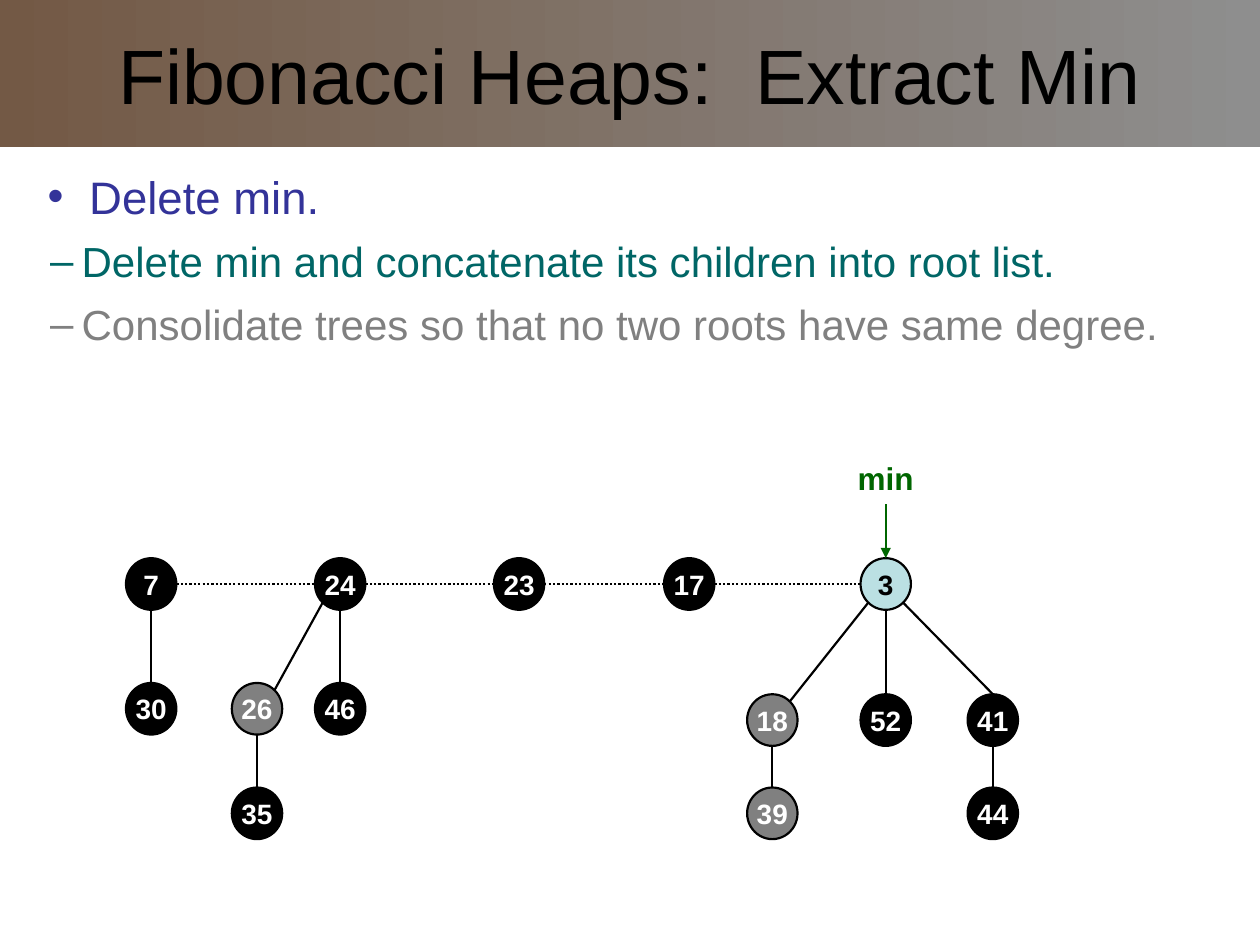
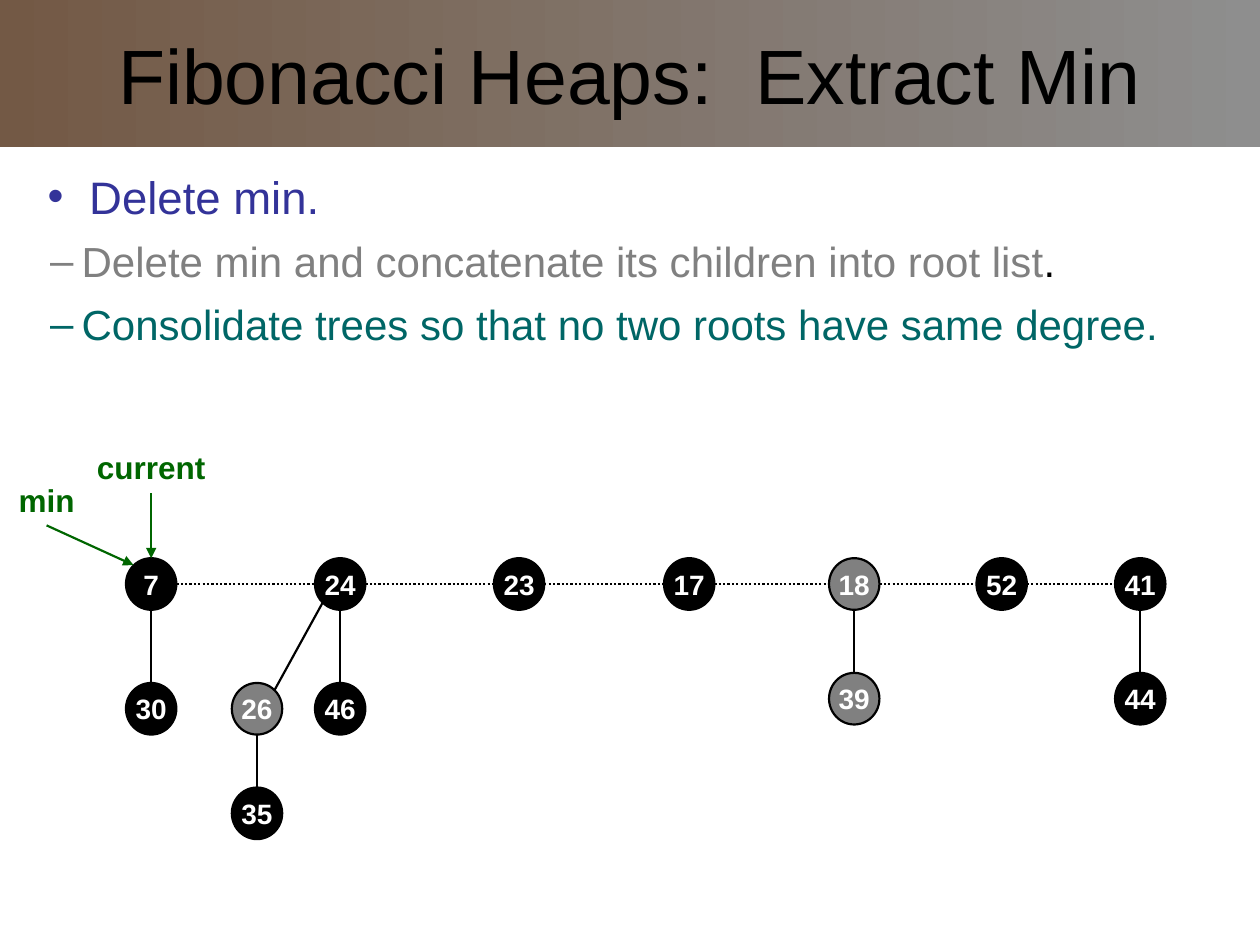
from dataclasses import dataclass
from itertools import pairwise
from typing import Optional

from lxml.etree import SubElement
from pptx import Presentation
from pptx.dml.color import RGBColor
from pptx.enum.dml import MSO_LINE_DASH_STYLE as Dash
from pptx.enum.shapes import MSO_CONNECTOR as Connector, MSO_SHAPE as Preset
from pptx.enum.text import MSO_ANCHOR as Anchor, PP_ALIGN as Align
from pptx.oxml.ns import qn
from pptx.util import Inches, Pt

FONT = "Arial"
BLACK, WHITE, GRAY = "000000", "FFFFFF", "808080"
BLUE, TEAL, GREEN, PALE = "333399", "006666", "006600", "BBE0E3"
BAND_RIGHT, BAND_LEFT = "8E8E8E", "735945"
WIDTH, HEIGHT = 0.4, 0.41
CORNER_X, CORNER_Y = 0.14, 0.15
LINE_WIDTH = 1.25
ROOT_TOP, CHILD_TOP, LEAF_TOP = 4.43, 5.42, 6.25

Point = tuple[float, float]
Run = tuple[str, str]


@dataclass(frozen=True)
class Node:
    key: str
    left: float
    top: float = ROOT_TOP
    fill: str = BLACK
    parent: Optional[str] = None
    color: str = WHITE

    @property
    def center(self) -> Point:
        return self.left + WIDTH / 2, self.top + HEIGHT / 2

    def site(self, horizontal: int, vertical: int) -> Point:
        x, y = self.center
        if horizontal and vertical:
            return x + horizontal * CORNER_X, y + vertical * CORNER_Y
        return x + horizontal * WIDTH / 2, y + vertical * HEIGHT / 2


@dataclass(frozen=True)
class Pointer:
    label: str
    left: float
    top: float
    target: str
    side: int = 0


@dataclass(frozen=True)
class Bullet:
    runs: tuple[Run, ...]
    mark: str = "–"
    size: int = 24
    margin: float = 0.38
    indent: float = -0.25
    before: float = 7


@dataclass(frozen=True)
class HeapSlide:
    bullets: tuple[Bullet, ...]
    nodes: tuple[Node, ...]
    pointers: tuple[Pointer, ...]


TITLE = "Fibonacci Heaps:  Extract Min"
HEADING = Bullet((("Delete min.", BLUE),), "•", 26, 0.44, -0.33, 0)
DELETE = "Delete min and concatenate its children into root list"
CONSOLIDATE = "Consolidate trees so that no two roots have same degree."

SHARED_NODES = (
    Node("7", 1),
    Node("24", 2.5),
    Node("23", 3.92),
    Node("17", 5.27),
    Node("30", 1, CHILD_TOP, parent="7"),
    Node("26", 1.84, CHILD_TOP, GRAY, "24"),
    Node("46", 2.5, CHILD_TOP, parent="24"),
    Node("35", 1.84, LEAF_TOP, parent="26"),
)

SLIDES = (
    HeapSlide(
        (HEADING, Bullet(((DELETE + ".", TEAL),)), Bullet(((CONSOLIDATE, GRAY),))),
        SHARED_NODES + (
            Node("3", 6.83, fill=PALE, color=BLACK),
            Node("18", 5.93, 5.51, GRAY, "3"),
            Node("52", 6.83, 5.51, parent="3"),
            Node("41", 7.68, 5.51, parent="3"),
            Node("39", 5.93, LEAF_TOP, GRAY, "18"),
            Node("44", 7.68, LEAF_TOP, parent="41"),
        ),
        (Pointer("min", 6.83, 3.59, "3"),),
    ),
    HeapSlide(
        (HEADING, Bullet(((DELETE, GRAY), (".", BLACK))), Bullet(((CONSOLIDATE, TEAL),))),
        SHARED_NODES + (
            Node("18", 6.58, fill=GRAY),
            Node("52", 7.75),
            Node("41", 8.85),
            Node("39", 6.58, 5.34, GRAY, "18"),
            Node("44", 8.85, 5.34, parent="41"),
        ),
        (Pointer("current", 1, 3.5, "7"), Pointer("min", 0.17, 3.76, "7", -1)),
    ),
)


def rgb(value: str) -> RGBColor:
    return RGBColor.from_string(value)


def write(paragraph, text: str, *, size: float, color: str, bold: bool = False) -> None:
    run = paragraph.add_run()
    run.text = text
    run.font.name = FONT
    run.font.size = Pt(size)
    run.font.bold = bold
    run.font.color.rgb = rgb(color)


def add_label(slide, preset, box: tuple, text: str, *, size: float, color: str,
              fill: Optional[str] = None, outline: Optional[str] = None,
              bold: bool = False, wrap: bool = False):
    shape = slide.shapes.add_shape(preset, *map(Inches, box))
    shape.shadow.inherit = False
    if fill:
        shape.fill.solid()
        shape.fill.fore_color.rgb = rgb(fill)
    else:
        shape.fill.background()
    if outline:
        shape.line.color.rgb = rgb(outline)
        shape.line.width = Pt(LINE_WIDTH)
    else:
        shape.line.fill.background()
    frame = shape.text_frame
    frame.word_wrap = wrap
    frame.vertical_anchor = Anchor.MIDDLE
    paragraph = frame.paragraphs[0]
    paragraph.alignment = Align.CENTER
    write(paragraph, text, size=size, color=color, bold=bold)
    return shape


def add_line(slide, start: Point, end: Point, color: str = BLACK,
             dotted: bool = False, arrow: bool = False) -> None:
    connector = slide.shapes.add_connector(Connector.STRAIGHT, *map(Inches, start + end))
    connector.line.color.rgb = rgb(color)
    connector.line.width = Pt(LINE_WIDTH)
    if dotted:
        connector.line.dash_style = Dash.ROUND_DOT
    if arrow:
        SubElement(connector.line._get_or_add_ln(), qn("a:headEnd"), type="triangle")
    SubElement(connector._element.spPr, qn("a:effectLst"))


def add_title(slide) -> None:
    band = add_label(slide, Preset.RECTANGLE, (0, 0, 10, 1.17), TITLE,
                     size=44, color=BLACK, wrap=True)
    band.fill.gradient()
    band.fill.gradient_angle = 180
    for stop, color in zip(band.fill.gradient_stops, (BAND_RIGHT, BAND_LEFT)):
        stop.color.rgb = rgb(color)


def add_bullets(slide, bullets: tuple[Bullet, ...]) -> None:
    frame = slide.shapes.add_textbox(*map(Inches, (0.17, 1.25, 9.67, 5.45))).text_frame
    frame.word_wrap = True
    frame.margin_top = Inches(0.09)
    for index, bullet in enumerate(bullets):
        paragraph = frame.add_paragraph() if index else frame.paragraphs[0]
        paragraph.space_before = Pt(bullet.before)
        properties = paragraph._p.get_or_add_pPr()
        properties.set("marL", str(Inches(bullet.margin)))
        properties.set("indent", str(Inches(bullet.indent)))
        mark_color = SubElement(properties, qn("a:buClr"))
        SubElement(mark_color, qn("a:srgbClr"), val=bullet.runs[0][1])
        SubElement(properties, qn("a:buFont"), typeface=FONT)
        SubElement(properties, qn("a:buChar"), char=bullet.mark)
        for text, color in bullet.runs:
            write(paragraph, text, size=bullet.size, color=color)


def add_branch(slide, child: Node, parent: Node) -> None:
    side = (child.left > parent.left) - (child.left < parent.left)
    child_side = 1 if side < 0 else 0
    add_line(slide, child.site(child_side, -1), parent.site(side, 1))


def add_heap(slide, nodes: tuple[Node, ...]) -> None:
    by_key = {node.key: node for node in nodes}
    roots = sorted((node for node in nodes if not node.parent), key=lambda node: node.left)
    for left, right in pairwise(roots):
        add_line(slide, left.site(1, 0), right.site(-1, 0), dotted=True)
    for node in nodes:
        if node.parent:
            add_branch(slide, node, by_key[node.parent])
    for node in nodes:
        add_label(slide, Preset.OVAL, (node.left, node.top, WIDTH, HEIGHT), node.key,
                  size=16, color=node.color, fill=node.fill, outline=BLACK, bold=True)


def add_pointer(slide, pointer: Pointer, target: Node) -> None:
    bottom = (pointer.left + WIDTH / 2, pointer.top + HEIGHT)
    add_line(slide, target.site(pointer.side, -1), bottom, GREEN, arrow=True)
    add_label(slide, Preset.OVAL, (pointer.left, pointer.top, WIDTH, HEIGHT),
              pointer.label, size=18, color=GREEN, bold=True)


def main() -> None:
    presentation = Presentation()
    presentation.slide_width = Inches(10)
    presentation.slide_height = Inches(7.5)
    for content in SLIDES:
        slide = presentation.slides.add_slide(presentation.slide_layouts[6])
        add_title(slide)
        add_bullets(slide, content.bullets)
        add_heap(slide, content.nodes)
        by_key = {node.key: node for node in content.nodes}
        for pointer in content.pointers:
            add_pointer(slide, pointer, by_key[pointer.target])
    presentation.save("out.pptx")


if __name__ == "__main__":
    main()
